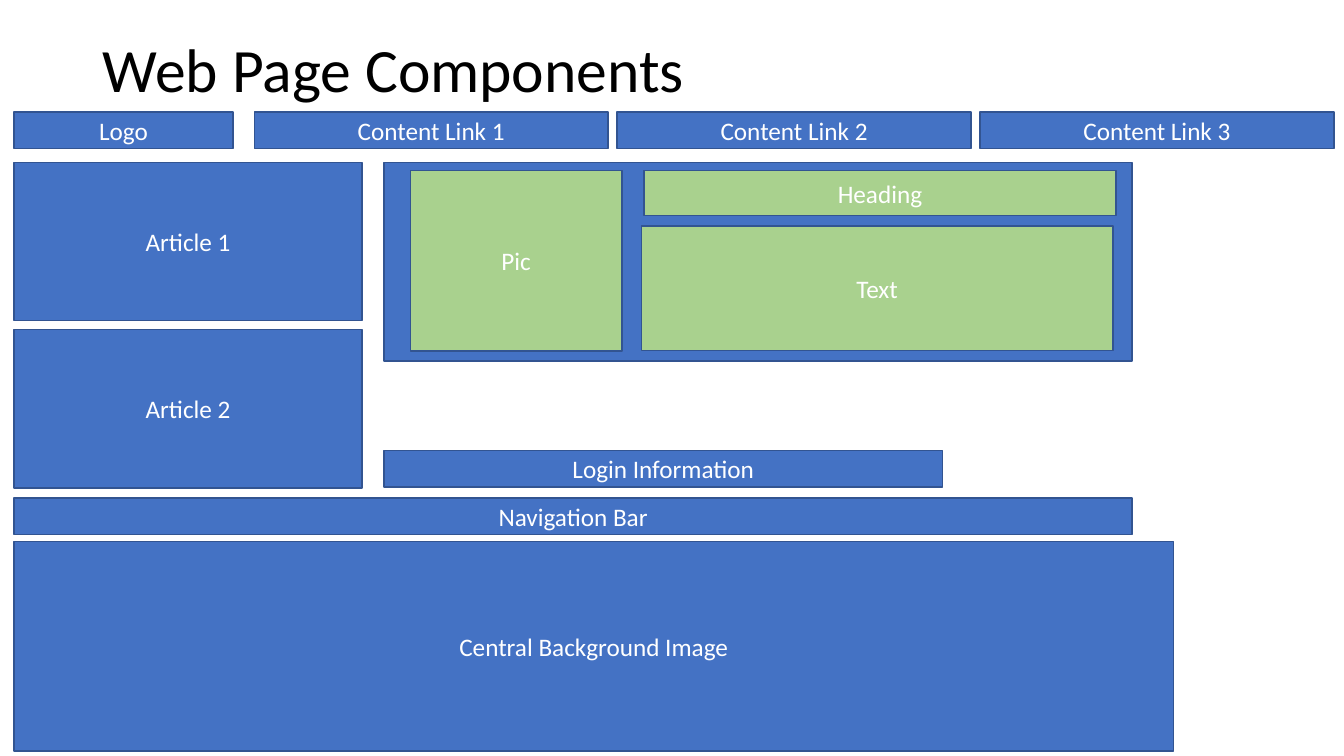
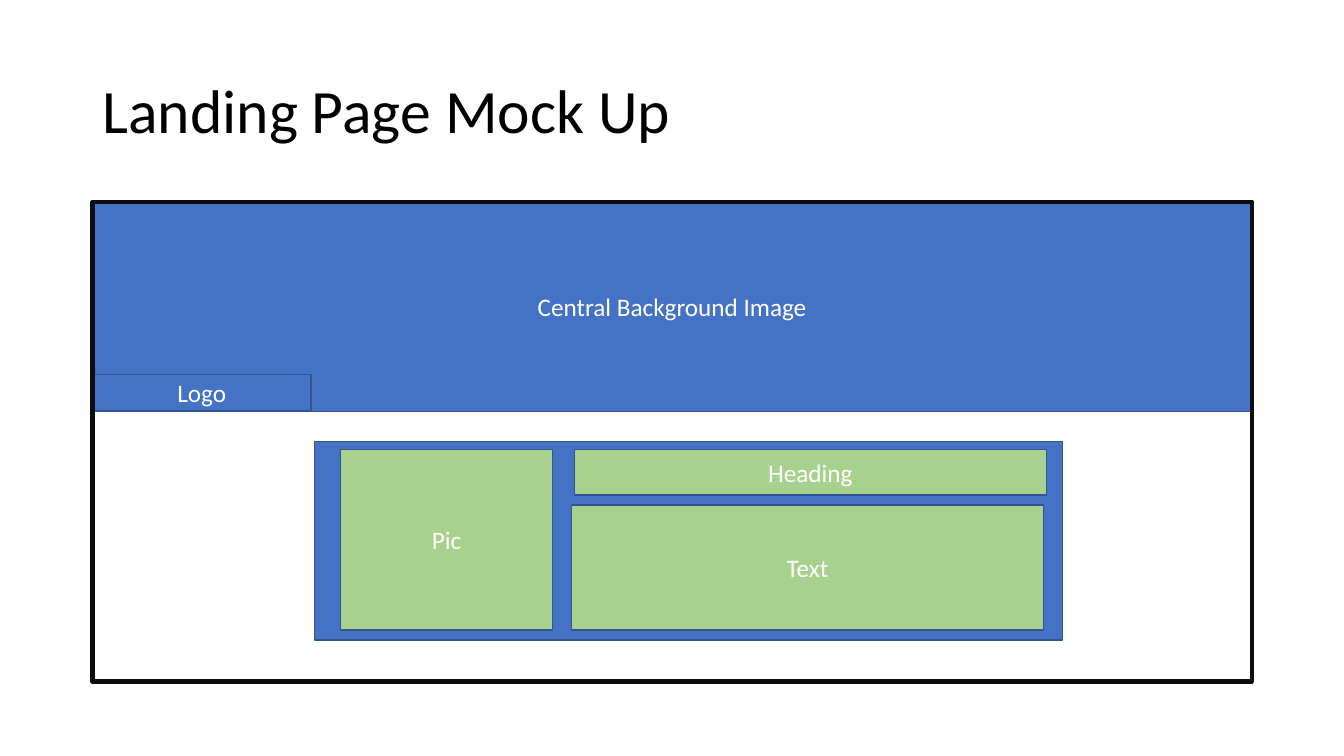
"""Builds two slides that lay out the parts of a web page and its landing page."""
import dataclasses

import pptx
import pptx.dml.color
import pptx.enum.shapes
import pptx.enum.text
import pptx.util


@dataclasses.dataclass(frozen=True)
class Theme:
    """Colours, type sizes and line widths of the deck."""
    font: str = "Calibri"
    title_size: int = 44
    label_size: int = 18
    ink: str = "000000"
    label: str = "FFFFFF"
    block: str = "4472C4"
    inset: str = "A9D18E"
    edge: str = "325491"
    frame: str = "0D0D0D"
    edge_width: int = 1
    frame_width: int = 3


def rgb(code):
    """Turn a hex code into a colour."""
    return pptx.dml.color.RGBColor.from_string(code)


def write(text_frame, text, *, font, size, color, align, spacing=1.0):
    """Set formatted text, centred vertically, in a text frame."""
    text_frame.word_wrap = True
    text_frame.auto_size = pptx.enum.text.MSO_AUTO_SIZE.NONE
    text_frame.vertical_anchor = pptx.enum.text.MSO_ANCHOR.MIDDLE
    paragraph = text_frame.paragraphs[0]
    paragraph.alignment = align
    paragraph.line_spacing = spacing
    run = paragraph.add_run()
    run.text = text
    run.font.name = font
    run.font.size = pptx.util.Pt(size)
    run.font.color.rgb = rgb(color)


class Wireframe:
    """Draws page parts, with lengths in percent of the slide's width and height."""

    MARGIN = 6.88
    BODY_WIDTH = 86.25
    TITLE_HEIGHT = 19.33
    BAR_HEIGHT = 4.85
    LOGO_WIDTH = 16.28
    IMAGE_HEIGHT = 27.73
    PANEL_SIZE = (55.65, 26.27)
    PANEL_PARTS = (
        ("Pic", 1.95, 1.07, 15.75, 23.87),
        ("Heading", 19.35, 1.07, 35.1, 6),
        ("Text", 19.13, 8.4, 35.1, 16.53),
    )

    def __init__(self, theme):
        """Start an empty widescreen deck."""
        self.theme = theme
        self.deck = pptx.Presentation()
        self.deck.slide_width = pptx.util.Inches(13.33)
        self.deck.slide_height = pptx.util.Inches(7.5)
        self.slide = None

    def area(self, left, top, width, height):
        """Convert percentages to slide lengths."""
        across, down = self.deck.slide_width / 100, self.deck.slide_height / 100
        return [round(n) for n in (left * across, top * down, width * across, height * down)]

    def page(self, title, top):
        """Add a slide with its title at the given height."""
        self.slide = self.deck.slides.add_slide(self.deck.slide_layouts[5])
        heading = self.slide.shapes.title
        heading.left, heading.top, heading.width, heading.height = self.area(
            self.MARGIN, top, self.BODY_WIDTH, self.TITLE_HEIGHT)
        write(heading.text_frame, title, font=self.theme.font, size=self.theme.title_size,
              color=self.theme.ink, align=pptx.enum.text.PP_ALIGN.LEFT, spacing=0.9)

    def rectangle(self, area, fill, edge, edge_width, parent=None):
        """Add a rectangle to the slide or to a parent group."""
        shapes = (parent or self.slide).shapes
        shape = shapes.add_shape(pptx.enum.shapes.MSO_SHAPE.RECTANGLE, *self.area(*area))
        shape.shadow.inherit = False
        if fill:
            shape.fill.solid()
            shape.fill.fore_color.rgb = rgb(fill)
        else:
            shape.fill.background()
        shape.line.color.rgb = rgb(edge)
        shape.line.width = pptx.util.Pt(edge_width)
        return shape

    def block(self, label, left, top, width, height, fill=None, parent=None):
        """Add a page part, labelled if it has a name."""
        part = self.rectangle((left, top, width, height), fill or self.theme.block,
                              self.theme.edge, self.theme.edge_width, parent)
        if label:
            write(part.text_frame, label, font=self.theme.font, size=self.theme.label_size,
                  color=self.theme.label, align=pptx.enum.text.PP_ALIGN.CENTER)

    def bar(self, label, left, top, width):
        """Add a page part of one bar's height."""
        self.block(label, left, top, width, self.BAR_HEIGHT)

    def logo(self, left, top):
        """Add the logo bar."""
        self.bar("Logo", left, top, self.LOGO_WIDTH)

    def background_image(self, left, top):
        """Add the central background image."""
        self.block("Central Background Image", left, top, self.BODY_WIDTH, self.IMAGE_HEIGHT)

    def article_panel(self, left, top):
        """Add the grouped panel of picture, heading and text."""
        panel = self.slide.shapes.add_group_shape()
        self.block("", left, top, *self.PANEL_SIZE, parent=panel)
        for label, across, down, width, height in self.PANEL_PARTS:
            self.block(label, left + across, top + down, width, height,
                       fill=self.theme.inset, parent=panel)

    def page_frame(self, left, top, width, height):
        """Outline the mocked-up page."""
        self.rectangle((left, top, width, height), None, self.theme.frame, self.theme.frame_width)


def components(wireframe):
    """Build the slide of separate page parts."""
    edge, second, link_row, body_row = 1.05, 28.58, 14.8, 21.47
    wireframe.page("Web Page Components", -0.13)
    wireframe.logo(edge, link_row)
    wireframe.bar("Login Information", second, 59.6, 41.55)
    wireframe.background_image(edge, 71.6)
    for index in range(3):
        wireframe.bar(f"Content Link {index + 1}", 18.92 + 27 * index, link_row, 26.33)
    wireframe.bar("Navigation Bar", edge, 65.87, 83.18)
    for index in range(2):
        wireframe.block(f"Article {index + 1}", edge, body_row + 22.13 * index, 25.88, 20.93)
    wireframe.article_panel(second, body_row)


def landing_page(wireframe):
    """Build the slide of the assembled landing page."""
    left, top = wireframe.MARGIN, 26.67
    wireframe.page("Landing Page Mock Up", 5.33)
    wireframe.background_image(left, top)
    wireframe.logo(left, top + wireframe.IMAGE_HEIGHT - wireframe.BAR_HEIGHT)
    wireframe.article_panel(23.4, 58.4)
    wireframe.page_frame(left, top, wireframe.BODY_WIDTH, 63.47)


def main():
    """Build and save the deck."""
    wireframe = Wireframe(Theme())
    components(wireframe)
    landing_page(wireframe)
    wireframe.deck.save("out.pptx")


if __name__ == "__main__":
    main()
